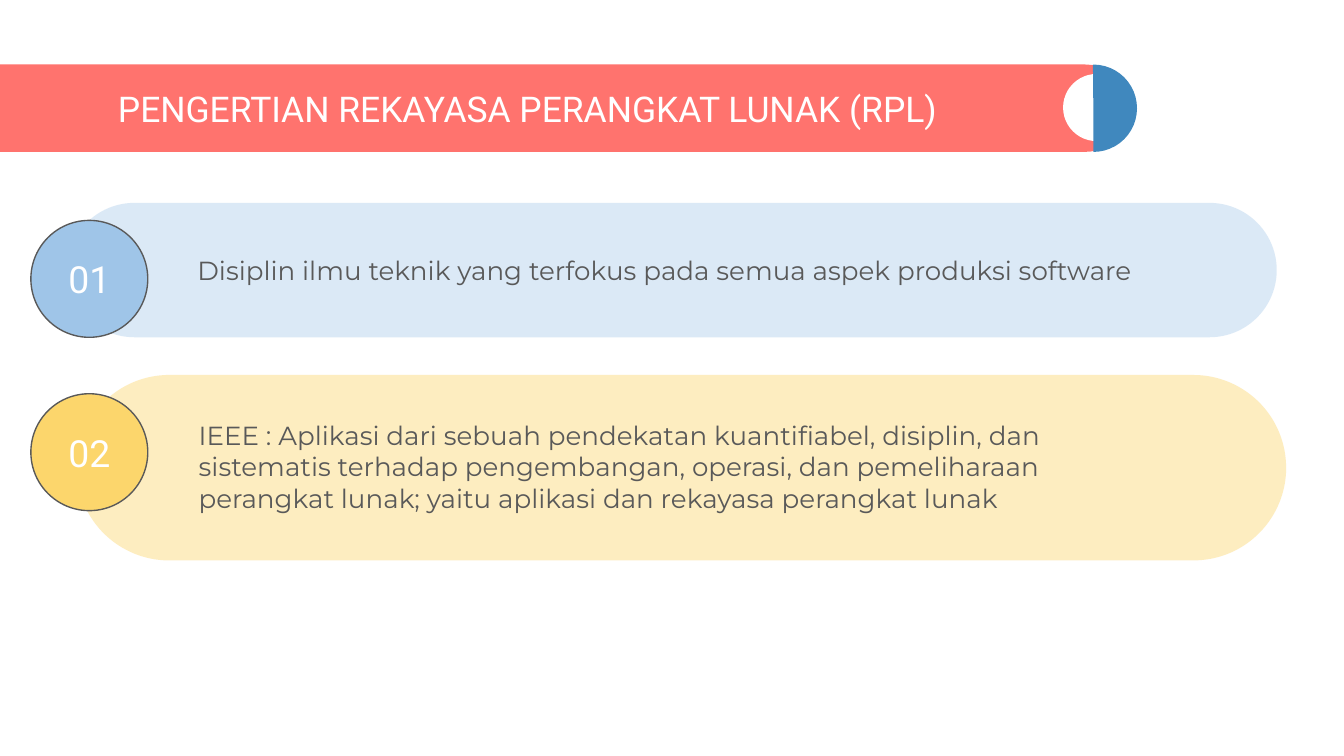
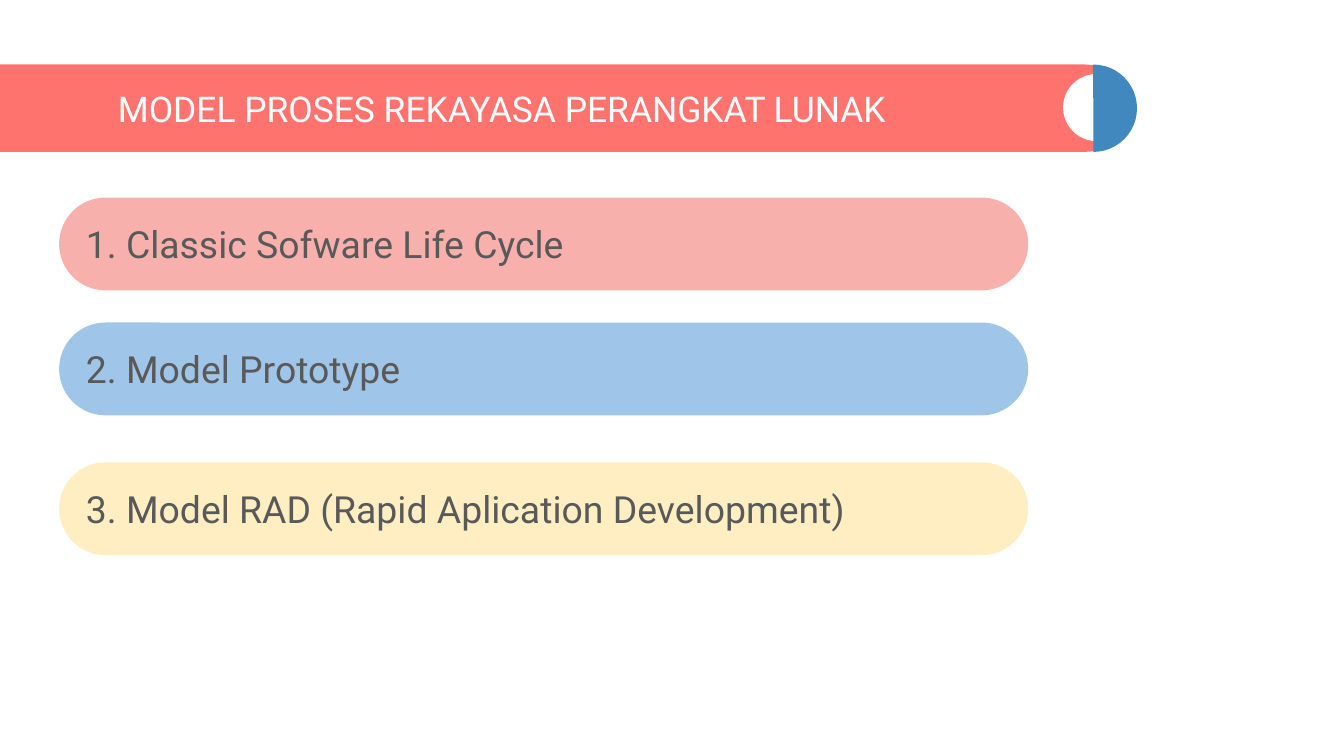
"""Builds two slides on software engineering: its definition and its process models."""
from lxml import etree
from pptx import Presentation
from pptx import util as u
from pptx.dml.color import RGBColor
from pptx.enum import shapes, text
from pptx.oxml.ns import qn

DEFINITION_TITLE = "PENGERTIAN REKAYASA PERANGKAT LUNAK (RPL)"
MODEL_TITLE = "MODEL PROSES REKAYASA PERANGKAT LUNAK"
DEFINITIONS = [
    {"number": "01", "badge": "9FC5E8", "badge_top": 1.64,
     "panel": (0.5, 1.51, 9, 1), "fill": "9FC5E8", "alpha": 37,
     "words": "Disiplin ilmu teknik yang terfokus pada semua aspek produksi software",
     "words_box": (1.37, 1.79, 7.62, 0.89)},
    {"number": "02", "badge": "FCD66C", "badge_top": 2.93,
     "panel": (0.57, 2.79, 9, 1.38), "fill": "FBBE18", "alpha": 27,
     "words": "IEEE : Aplikasi dari sebuah pendekatan kuantifiabel, disiplin, dan "
              "sistematis terhadap pengembangan, operasi, dan pemeliharaan "
              "perangkat lunak; yaitu aplikasi dan rekayasa perangkat lunak",
     "words_box": (1.38, 3.02, 7.38, 0.89)},
]
MODELS = [
    ("Classic Sofware Life Cycle", "F8B0AD", 1.47),
    ("Model Prototype", "9FC5E8", 2.4),
    ("Model RAD (Rapid Aplication Development)", "FEEEC2", 3.44),
]
WHITE, GREY, CORAL, BLUE = "FFFFFF", "595959", "FF736E", "4088BE"
KIND = shapes.MSO_SHAPE
ALIGN = text.PP_ALIGN
ANCHOR = text.MSO_ANCHOR
BADGE_SIZE = 0.87
SLIDE_WIDTH = u.Inches(10)
SLIDE_HEIGHT = SLIDE_WIDTH * 9 // 16


def color(value):
    return RGBColor.from_string(value)


def place(box):
    return [u.Inches(length) for length in box]


def set_all(target, values):
    for name, value in values.items():
        setattr(target, name, value)


def write(shape, words, size, ink, font="Roboto", align=ALIGN.LEFT,
          anchor=ANCHOR.MIDDLE, after=0):
    frame = shape.text_frame
    margins = {f"margin_{side}": u.Inches(0.1) for side in ("left", "top", "right", "bottom")}
    set_all(frame, {"word_wrap": True, "vertical_anchor": anchor, **margins})
    paragraph = frame.paragraphs[0]
    set_all(paragraph, {"alignment": align, "space_after": u.Pt(after)})
    run = paragraph.add_run()
    run.text = words
    set_all(run.font, {"name": font, "size": u.Pt(size)})
    run.font.color.rgb = color(ink)


def add_figure(slide, kind, box, fill, adjustments=(), rotation=0, alpha=None, line=None):
    shape = slide.shapes.add_shape(kind, *place(box))
    shape.shadow.inherit = False
    shape.rotation = rotation
    for index, value in enumerate(adjustments):
        shape.adjustments[index] = value
    shape.fill.solid()
    shape.fill.fore_color.rgb = color(fill)
    if alpha is not None:
        tint = shape.fill._xPr.find(qn("a:solidFill"))[0]
        etree.SubElement(tint, qn("a:alpha")).set("val", str(alpha * 1000))
    if line:
        shape.line.color.rgb = color(line)
        shape.line.width = u.Pt(0.75)
    else:
        shape.line.fill.background()
    return shape


def add_pill(slide, box, fill, alpha=None):
    return add_figure(slide, KIND.ROUNDED_RECTANGLE, box, fill, [0.5], alpha=alpha)


def add_titled_slide(presentation, title):
    slide = presentation.slides.add_slide(presentation.slide_layouts[6])
    add_pill(slide, (-0.32, 0.48, 8.72, 0.65), CORAL)
    add_figure(slide, KIND.OVAL, (7.91, 0.55, 0.5, 0.5), WHITE, rotation=180)
    add_figure(slide, KIND.PIE, (7.81, 0.48, 0.65, 0.65), BLUE, [53.67, 162], rotation=180)
    write(slide.shapes.add_textbox(*place((0.78, 0.6, 6.97, 0.41))), title, 19, WHITE)
    return slide


def build_definitions(presentation):
    slide = add_titled_slide(presentation, DEFINITION_TITLE)
    for item in DEFINITIONS:
        add_pill(slide, item["panel"], item["fill"], item["alpha"])
    for item in DEFINITIONS:
        words_box = slide.shapes.add_textbox(*place(item["words_box"]))
        write(words_box, item["words"], 14, GREY, "Montserrat", anchor=ANCHOR.TOP, after=16)
        badge = add_figure(slide, KIND.OVAL, (0.23, item["badge_top"], BADGE_SIZE, BADGE_SIZE),
                           item["badge"], line=GREY)
        write(badge, item["number"], 20, WHITE, align=ALIGN.CENTER)


def build_models(presentation):
    slide = add_titled_slide(presentation, MODEL_TITLE)
    for number, (name, fill, top) in enumerate(MODELS, 1):
        pill = add_pill(slide, (0.44, top, 7.21, 0.69), fill)
        write(pill, f"{number}. {name}", 20, GREY)


def main():
    presentation = Presentation()
    set_all(presentation, {"slide_width": SLIDE_WIDTH, "slide_height": SLIDE_HEIGHT})
    build_definitions(presentation)
    build_models(presentation)
    presentation.save("out.pptx")


if __name__ == "__main__":
    main()
